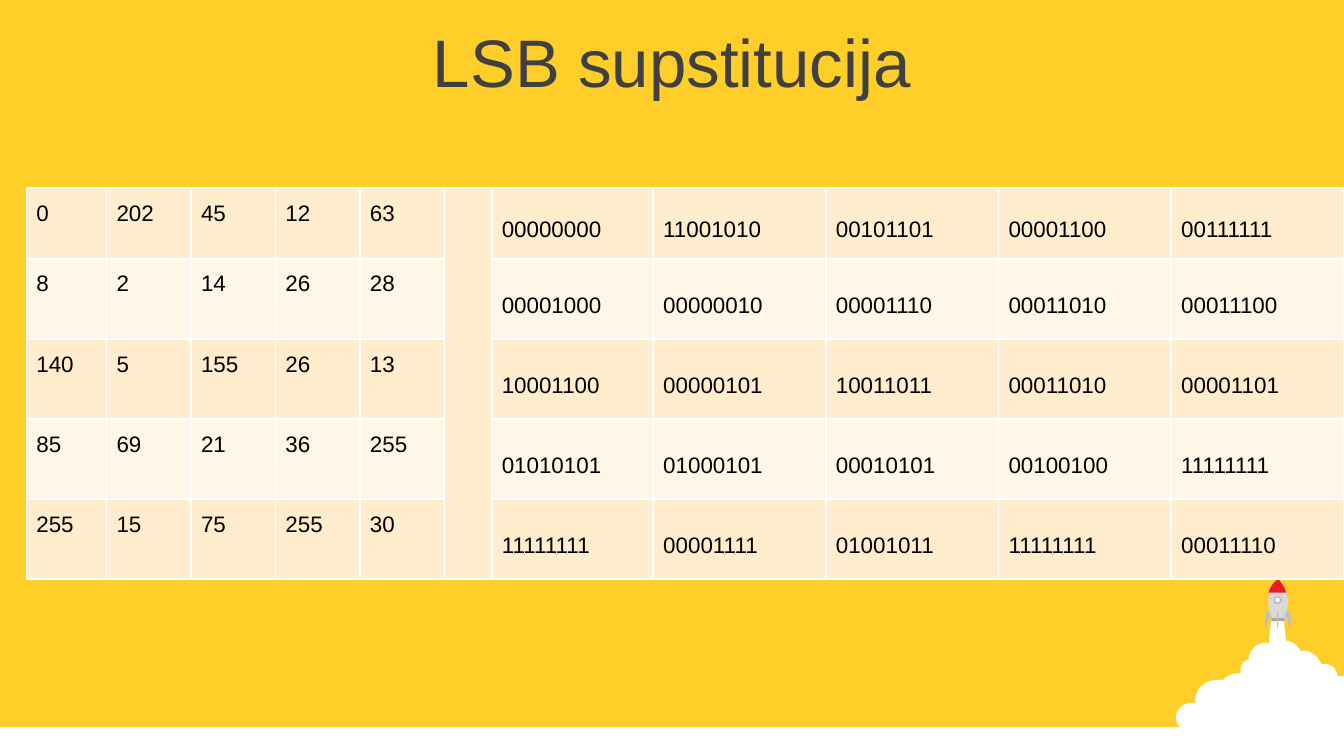
from dataclasses import dataclass

from lxml import etree
from pptx import Presentation
from pptx.dml.color import RGBColor
from pptx.enum.shapes import MSO_SHAPE
from pptx.enum.text import MSO_ANCHOR, PP_ALIGN
from pptx.oxml.ns import qn
from pptx.util import Pt

RECT, OVAL = MSO_SHAPE.RECTANGLE, MSO_SHAPE.OVAL
TOP, MIDDLE = MSO_ANCHOR.TOP, MSO_ANCHOR.MIDDLE
CENTER, JUSTIFY = PP_ALIGN.CENTER, PP_ALIGN.JUSTIFY


@dataclass(frozen=True)
class Theme:
    """Colours and type sizes of the slide."""
    back: str = "FFCE29"
    white: str = "FFFFFF"
    bands: tuple = ("FFEDCD", "FFF6E8")
    body: str = "D9D9D9"
    base: str = "A6A6A6"
    trim: str = "BFBFBF"
    nose: str = "ED1C24"
    title: str = "404040"
    text: str = "000000"
    font: str = "Arial"
    large: int = 36
    small: int = 12


THEME = Theme()

PIXELS = [
    [0, 202, 45, 12, 63],
    [8, 2, 14, 26, 28],
    [140, 5, 155, 26, 13],
    [85, 69, 21, 36, 255],
    [255, 15, 75, 255, 30],
]
WIDTHS = [43] + [45.25] * 4 + [25.4, 86.5] + [92.5] * 4
HEIGHTS = [38] + [42.9] * 4
GAP = 5

CLOUD = [
    (681.1, 330.5), (687.6, 330.5), (689, 343.4), (690.5, 343.4),
    (692.6, 344.2, 694.8, 345.6, 696.2, 347.8), (697, 349.2), (697.7, 348.5),
    (702, 348.5, 706.3, 351.4, 707.8, 355.7), (709.9, 355.7),
    (712.8, 355.7, 715.7, 357.8, 716.4, 361.4), (716.4, 362.2),
    (720, 362.2), (720, 404), (672.5, 404),
    (664.6, 404, 660.2, 400.3, 657.4, 396.7),
    (656, 398.2, 653, 398.9, 650.9, 398.2),
    (648, 397.4, 643.7, 396, 643, 392.4), (642.2, 391.7),
    (641.5, 392.4, 640.1, 392.4, 637.9, 392.4),
    (633.6, 392.4, 630, 388.8, 630, 384.5),
    (630, 380.2, 633.6, 376.6, 637.9, 376.6),
    (639.4, 376.6), (640.1, 377.3), (640.1, 375.8),
    (640.1, 369.4, 645.1, 364.3, 652.3, 364.3), (655.2, 364.3), (655.9, 363.6),
    (658.1, 361.4, 661, 360.7, 664.6, 360.7), (664.6, 358.6),
    (664.6, 356.4, 666, 354.2, 668.2, 353.5), (668.9, 353.5), (668.9, 352.1),
    (669.6, 347.8, 673.9, 344.2, 678.2, 344.2), (679.7, 344.9),
]
BODY = [
    (681.1, 332.6), (679.7, 326.2, 676.8, 316.8, 684.7, 310.3),
    (692.6, 317.5, 689.8, 326.9, 688.3, 332.6),
]
NOSE = [
    (684.7, 310.3), (686.9, 312.5, 688.3, 314.6, 689, 317.5),
    (679.7, 317.5), (680.4, 314.6, 681.8, 312.5, 684.7, 310.3),
]
FIN = [
    (679.7, 326.9), (681.1, 330.5), (678.2, 331.9, 679, 335.5, 678.2, 337),
    (677.5, 334.8, 676.8, 329, 679.7, 326.9),
]
AXIS = 684.6


def paint(shape, color, line=None):
    """Give a shape a flat fill and an optional outline."""
    shape.shadow.inherit = False
    shape.fill.solid()
    shape.fill.fore_color.rgb = RGBColor.from_string(color)
    if line:
        shape.line.color.rgb = RGBColor.from_string(line)
        shape.line.width = Pt(1)
    else:
        shape.line.fill.background()


def block(slide, kind, box, color, line=None):
    """Add a preset shape."""
    paint(slide.shapes.add_shape(kind, *map(Pt, box)), color, line)


def trace(steps, parts=8):
    """Turn line and curve steps into a list of points."""
    points = [steps[0]]
    for step in steps[1:]:
        if len(step) == 2:
            points.append(step)
            continue
        knots = [points[-1], step[:2], step[2:4], step[4:]]
        for part in range(1, parts + 1):
            t = part / parts
            u = 1 - t
            mix = (u ** 3, 3 * u * u * t, 3 * u * t * t, t ** 3)
            points.append(tuple(
                sum(m * k[axis] for m, k in zip(mix, knots)) for axis in (0, 1)))
    return points


def outline(slide, points, color):
    """Add a closed freeform."""
    spots = [(Pt(x), Pt(y)) for x, y in points]
    maker = slide.shapes.build_freeform(*spots[0])
    maker.add_line_segments(spots[1:], close=True)
    paint(maker.convert_to_shape(), color)


def rocket(slide):
    """Draw the rocket above its cloud."""
    outline(slide, trace(CLOUD), THEME.white)
    outline(slide, trace(BODY), THEME.body)
    block(slide, RECT, (681.1, 331.2, 7.2, 1.6), THEME.base)
    outline(slide, trace(NOSE), THEME.nose)
    block(slide, OVAL, (682.6, 319.6, 3.6, 3.6), THEME.white, THEME.trim)
    block(slide, RECT, (684.2, 327.4, 0.6, 9.2), THEME.trim)
    fin = trace(FIN)
    outline(slide, fin, THEME.trim)
    outline(slide, [(2 * AXIS - x, y) for x, y in fin], THEME.trim)


def style(para, size, color, align):
    """Set the font and alignment of a paragraph."""
    para.alignment = align
    para.font.name = THEME.font
    para.font.size = Pt(size)
    para.font.color.rgb = RGBColor.from_string(color)


def title(slide, text):
    """Add the slide title."""
    frame = slide.shapes.add_textbox(Pt(0), Pt(10), Pt(720), Pt(45.4)).text_frame
    frame.word_wrap = True
    frame.vertical_anchor = MIDDLE
    para = frame.paragraphs[0]
    para.text = text
    style(para, THEME.large, THEME.title, CENTER)


def border(cell):
    """Draw thin white lines round a cell."""
    props = cell._tc.get_or_add_tcPr()
    for side in ("a:lnL", "a:lnR", "a:lnT", "a:lnB"):
        line = etree.SubElement(props, qn(side), w=str(Pt(1)))
        fill = etree.SubElement(line, qn("a:solidFill"))
        etree.SubElement(fill, qn("a:srgbClr"), val=THEME.white)


def fill_cell(cell, text, color, anchor):
    """Write and style one table cell."""
    border(cell)
    cell.fill.solid()
    cell.fill.fore_color.rgb = RGBColor.from_string(color)
    cell.margin_left = cell.margin_right = Pt(5.4)
    cell.margin_top = cell.margin_bottom = Pt(0)
    cell.vertical_anchor = anchor
    para = cell.text_frame.paragraphs[0]
    para.text = text
    para.line_spacing = 1.5
    style(para, THEME.small, THEME.text, JUSTIFY)


def grid(slide):
    """Add the table of pixel values and their binary forms."""
    table = slide.shapes.add_table(
        len(HEIGHTS), len(WIDTHS), Pt(14.1), Pt(100.8),
        Pt(sum(WIDTHS)), Pt(sum(HEIGHTS))).table
    table.first_row = table.horz_banding = False
    for col, width in zip(table.columns, WIDTHS):
        col.width = Pt(width)
    for r, (row, height) in enumerate(zip(PIXELS, HEIGHTS)):
        table.rows[r].height = Pt(height)
        texts = [str(n) for n in row] + [""] + [f"{n:08b}" for n in row]
        for c, text in enumerate(texts):
            color = THEME.bands[0 if c == GAP else r % 2]
            fill_cell(table.cell(r, c), text, color, MIDDLE if c > GAP else TOP)
    table.cell(0, GAP).merge(table.cell(len(HEIGHTS) - 1, GAP))


def main():
    """Build and save the slide."""
    deck = Presentation()
    deck.slide_width, deck.slide_height = Pt(720), Pt(405)
    slide = deck.slides.add_slide(deck.slide_layouts[6])
    slide.background.fill.solid()
    slide.background.fill.fore_color.rgb = RGBColor.from_string(THEME.back)
    block(slide, RECT, (0, 389.5, 720, 15.5), THEME.white)
    rocket(slide)
    title(slide, "LSB supstitucija")
    grid(slide)
    deck.save("out.pptx")


if __name__ == "__main__":
    main()
